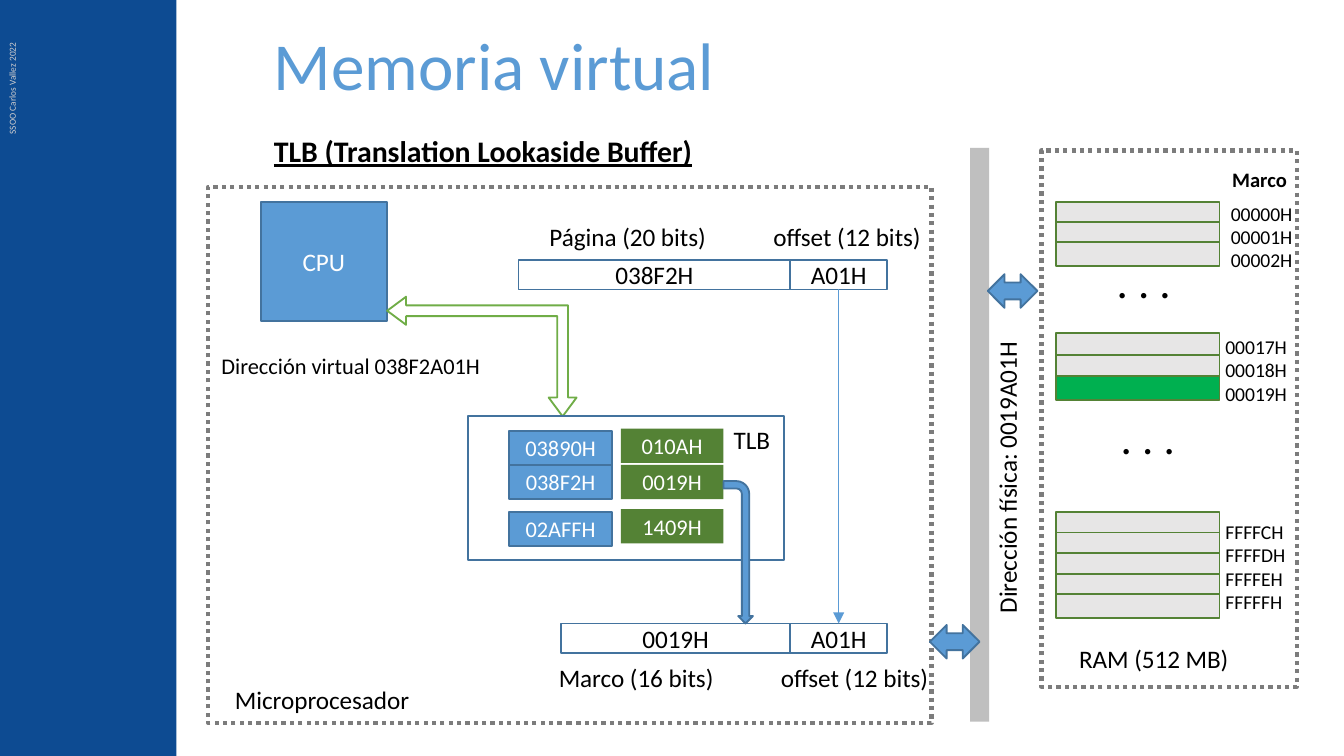
import pptx
import pptx.util
from pptx.dml.color import RGBColor
from pptx.enum.dml import MSO_LINE
from pptx.enum.shapes import MSO_CONNECTOR, MSO_SHAPE
from pptx.enum.text import MSO_ANCHOR, MSO_AUTO_SIZE, PP_ALIGN
from pptx.oxml import parse_xml
from pptx.oxml.ns import nsdecls, qn

Pt = pptx.util.Pt

BLACK = RGBColor(0x00, 0x00, 0x00)
WHITE = RGBColor(0xFF, 0xFF, 0xFF)
NAVY = RGBColor(0x0D, 0x4B, 0x92)
BLUE = RGBColor(0x5B, 0x9B, 0xD5)
BLUE_EDGE = RGBColor(0x43, 0x73, 0x9E)
GREEN = RGBColor(0x70, 0xAD, 0x47)
DARK_GREEN = RGBColor(0x54, 0x82, 0x35)
HIGHLIGHT = RGBColor(0x00, 0xB0, 0x50)
LIGHT_GRAY = RGBColor(0xE7, 0xE6, 0xE6)
CREDIT_GRAY = RGBColor(0xD0, 0xCE, 0xCE)
BUS_GRAY = RGBColor(0xBF, 0xBF, 0xBF)
DOT_GRAY = RGBColor(0x7C, 0x7C, 0x7C)


def write_text(shape, text, size=13.5, color=BLACK, bold=False, underline=False,
               align=PP_ALIGN.LEFT, anchor=MSO_ANCHOR.TOP, wrap=True, tab=None,
               line_spacing=None):
    """Fill the shape with one paragraph per line of text; tab is a tab stop in points."""
    frame = shape.text_frame
    frame.word_wrap = wrap
    frame.vertical_anchor = anchor
    for index, line in enumerate(text.split("\n")):
        paragraph = frame.add_paragraph() if index else frame.paragraphs[0]
        paragraph.alignment = align
        if line_spacing:
            paragraph.line_spacing = line_spacing
        if tab:
            paragraph._p.get_or_add_pPr().append(parse_xml(
                f'<a:tabLst {nsdecls("a")}><a:tab pos="{Pt(tab)}" algn="l"/></a:tabLst>'))
        run = paragraph.add_run()
        run.text = line
        run.font.name = "Calibri"
        run.font.size = Pt(size)
        run.font.bold = bold
        run.font.underline = underline
        run.font.color.rgb = color


class Diagram:
    def __init__(self, slide):
        self.slide = slide

    def shape(self, kind, left, top, width, height, fill=None, line=None,
              line_width=1, rotation=0):
        shape = self.slide.shapes.add_shape(kind, Pt(left), Pt(top), Pt(width), Pt(height))
        shape.shadow.inherit = False
        shape.rotation = rotation
        if fill is None:
            shape.fill.background()
        else:
            shape.fill.solid()
            shape.fill.fore_color.rgb = fill
        if line is None:
            shape.line.fill.background()
        else:
            shape.line.color.rgb = line
            shape.line.width = Pt(line_width)
        return shape

    def box(self, left, top, width, height, fill=None, line=None, text=None,
            size=13.5, color=BLACK):
        box = self.shape(MSO_SHAPE.RECTANGLE, left, top, width, height, fill, line)
        if text:
            write_text(box, text, size=size, color=color,
                       align=PP_ALIGN.CENTER, anchor=MSO_ANCHOR.MIDDLE)
        return box

    def dotted_frame(self, left, top, width, height):
        frame = self.shape(MSO_SHAPE.RECTANGLE, left, top, width, height,
                           line=DOT_GRAY, line_width=2.25)
        frame.line.dash_style = MSO_LINE.ROUND_DOT

    def label(self, left, top, width, height, text, rotation=0, grow=True, **text_format):
        label = self.slide.shapes.add_textbox(Pt(left), Pt(top), Pt(width), Pt(height))
        label.rotation = rotation
        write_text(label, text, **text_format)
        if grow:
            label.text_frame.auto_size = MSO_AUTO_SIZE.SHAPE_TO_FIT_TEXT

    def arrow(self, start, end):
        """Arrow from the bottom of one box to the top of another."""
        connector = self.slide.shapes.add_connector(MSO_CONNECTOR.STRAIGHT, 0, 0, 0, 0)
        connector.begin_connect(start, 2)
        connector.end_connect(end, 0)
        connector.line.color.rgb = BLUE
        connector.line.width = Pt(0.5)
        line = connector.line._get_or_add_ln()
        line.append(line.makeelement(qn("a:tailEnd"), {"type": "triangle"}))
        properties = connector._element.spPr
        properties.append(properties.makeelement(qn("a:effectLst"), {}))

    def memory_rows(self, top, pitch, fills):
        for index, fill in enumerate(fills):
            self.box(565.9, top + index * pitch, 87.4, 12.9, fill, DARK_GREEN)


def draw_processor(diagram):
    diagram.box(277.8, 139.3, 145.6, 15.8, WHITE, BLUE_EDGE, "038F2H")
    virtual_offset = diagram.box(423.4, 139.3, 51.8, 15.8, WHITE, BLUE_EDGE, "A01H")
    diagram.box(139.7, 108, 67.7, 64.1, BLUE, BLUE_EDGE, "CPU", color=WHITE)

    address_arrow = diagram.shape(MSO_SHAPE.LEFT_UP_ARROW, 207.4, 159, 101.5, 64.1, line=GREEN)
    address_arrow._element.spPr.xfrm.set("flipV", "1")
    for index, value in enumerate((0.09, 0.117, 0.158)):
        address_arrow.adjustments[index] = value

    diagram.label(287.3, 115.2, 221, 23.8, "Página (20 bits)\toffset (12 bits)", tab=120)
    diagram.label(111.6, 185, 197.3, 21.6, "Dirección virtual 038F2A01H", size=12)

    diagram.box(250.6, 223.1, 169.2, 77, WHITE, BLUE_EDGE)
    for page, top in (("03890H", 230.7), ("038F2H", 249.1), ("02AFFH", 274.2)):
        diagram.box(272.9, top, 54.9, 18.3, BLUE, BLUE_EDGE, page, 12, WHITE)
    for frame, top in (("010AH", 229.7), ("0019H", 249.1), ("1409H", 272.8)):
        diagram.box(332.6, top, 54.9, 18.3, DARK_GREEN, None, frame, 12, WHITE)

    diagram.box(300.5, 334, 122.9, 15.8, WHITE, BLUE_EDGE, "0019H")
    diagram.label(292.3, 351.4, 221, 23.8, "Marco (16 bits)\toffset (12 bits)", tab=119)
    diagram.shape(MSO_SHAPE.BENT_ARROW, 357.3, 288, 76.3, 15.8, BLUE, BLUE_EDGE, rotation=90)
    physical_offset = diagram.box(423.4, 334, 51.8, 15.8, WHITE, BLUE_EDGE, "A01H")
    diagram.arrow(virtual_offset, physical_offset)
    diagram.label(385.9, 223.6, 34.6, 23.8, "TLB", wrap=False)
    diagram.dotted_frame(111.6, 100.1, 387.4, 287.3)
    diagram.label(118.8, 362.9, 109.4, 23.8, "Microprocesador", wrap=False)


def draw_memory(diagram):
    diagram.memory_rows(108, 10.8, [LIGHT_GRAY] * 3)
    diagram.memory_rows(178.6, 11.5, [LIGHT_GRAY, LIGHT_GRAY, HIGHLIGHT])
    diagram.memory_rows(274.3, 11, [LIGHT_GRAY] * 5)
    diagram.label(571, 341.3, 95.8, 23.8, "RAM (512 MB)", wrap=False)
    for left, top, height, text in (
            (652.3, 104.4, 45.4, "00000H\n00001H\n00002H"),
            (649.4, 175.7, 45.4, "00017H\n00018H\n00019H"),
            (649.4, 275, 58.3, "FFFFCH\nFFFFDH\nFFFFEH\nFFFFFH")):
        diagram.label(left, top, 48, height, text, size=10.5, wrap=False)
    for left, top in ((591.1, 132.5), (593.3, 216)):
        diagram.label(left, top, 43.9, 36, ". . .", size=24)

    diagram.box(519.8, 79.2, 10.1, 307.4, BUS_GRAY)
    for left, top in ((498.2, 334.8), (529.2, 146.9)):
        diagram.shape(MSO_SHAPE.LEFT_RIGHT_ARROW, left, top, 26.6, 18, BLUE, BLUE_EDGE)
    diagram.dotted_frame(558, 80.6, 136.8, 287.3)
    diagram.label(653, 85.7, 43.9, 20.9, "Marco", size=11, bold=True, wrap=False)
    diagram.label(459.4, 243.4, 160.6, 23.8, "Dirección física: 0019A01H",
                  rotation=270, wrap=False)


def main():
    presentation = pptx.Presentation()
    presentation.slide_width = Pt(720)
    presentation.slide_height = Pt(405)
    diagram = Diagram(presentation.slides.add_slide(presentation.slide_layouts[6]))

    diagram.box(-0.5, 0, 95, 405, NAVY)
    diagram.label(-47.5, 18, 108.7, 13.7, "SSOO Carlos Vallez 2022", rotation=270,
                  size=5, color=CREDIT_GRAY)
    diagram.label(139.7, 18, 555.1, 41.8, "Memoria virtual", grow=False, size=36,
                  color=BLUE, anchor=MSO_ANCHOR.BOTTOM, line_spacing=0.9)
    diagram.label(139.7, 67.7, 242.6, 26.6, "TLB (Translation Lookaside Buffer)",
                  size=16, bold=True, underline=True, wrap=False)
    draw_processor(diagram)
    draw_memory(diagram)
    presentation.save("out.pptx")


if __name__ == "__main__":
    main()
